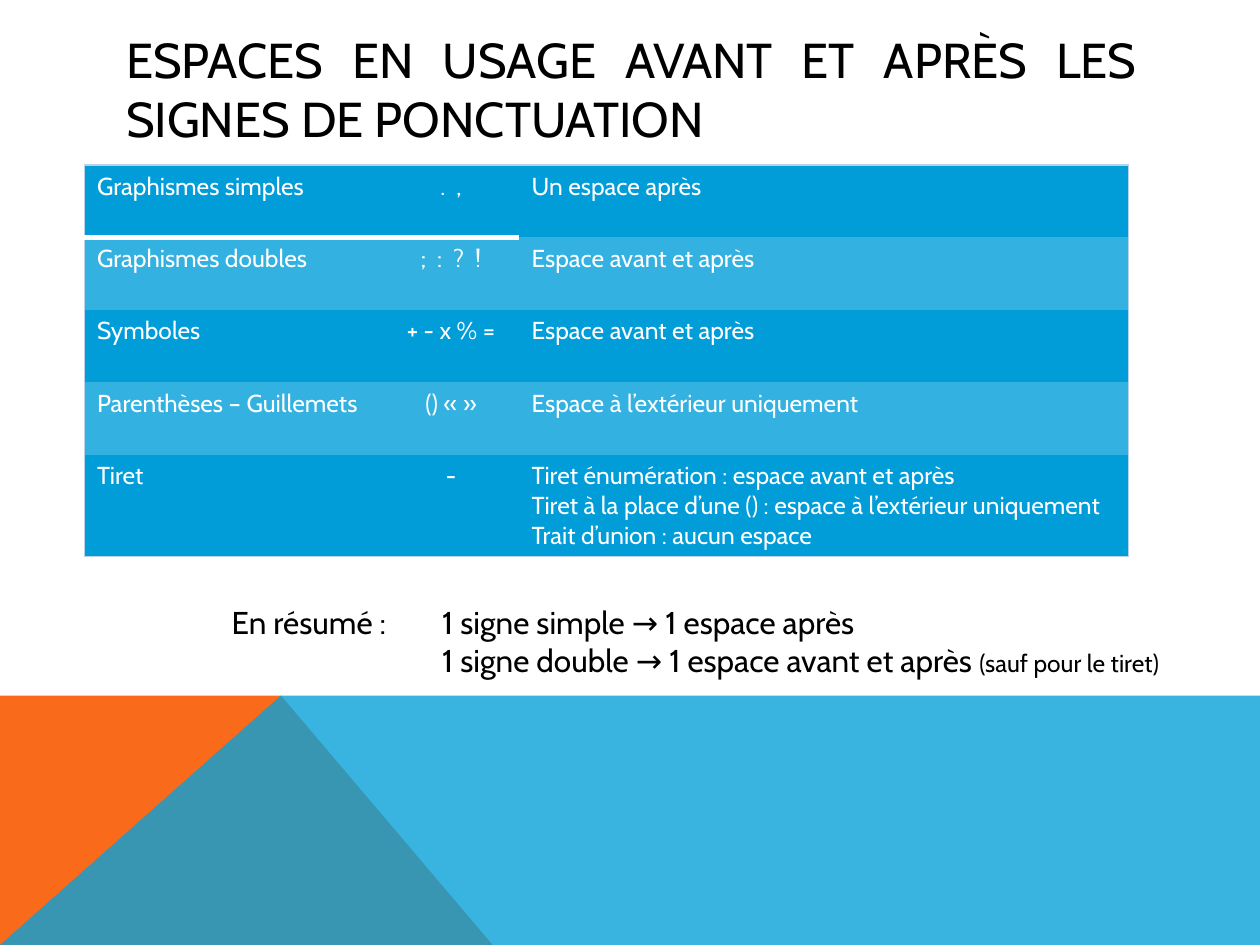
from dataclasses import dataclass

import pptx
import pptx.dml.color
import pptx.enum.text
import pptx.oxml
import pptx.oxml.ns
import pptx.util
from pptx.util import Inches

RGB = pptx.dml.color.RGBColor.from_string
ALIGN = pptx.enum.text.PP_ALIGN
ANCHOR = pptx.enum.text.MSO_ANCHOR
qn = pptx.oxml.ns.qn
NS = pptx.oxml.ns.nsdecls("a")


@dataclass(frozen=True)
class Theme:
    font: str = "Cabin"
    ink: str = "000000"
    paper: str = "FFFFFF"
    orange: str = "F96A1B"
    sky: str = "08A1D9"
    row: str = "009DD9"
    row_light: str = "33B1E1"
    outline: str = "B8D2E9"
    title: int = 28
    body: int = 18
    small: int = 14


THEME = Theme()
NO_TABLE_STYLE = "{2D5ABB26-0587-4C30-8999-92F81FD0307C}"

RULES = [
    ("Graphismes simples", ".  ,", ["Un espace après"]),
    ("Graphismes doubles", ";  :  ?  !", ["Espace avant et après"]),
    ("Symboles", "+ - x % =", ["Espace avant et après"]),
    ("Parenthèses – Guillemets", "() « »", ["Espace à l’extérieur uniquement"]),
    ("Tiret", "-", ["Tiret énumération : espace avant et après",
                    "Tiret à la place d’une () : espace à l’extérieur uniquement",
                    "Trait d’union : aucun espace"]),
]

SUMMARY = [
    [("En résumé : \t1 signe simple → 1 espace après", THEME.body)],
    [("\t1 signe double → 1 espace avant et après ", THEME.body),
     ("(sauf pour le tiret)", THEME.small)],
]


def write(frame, paragraphs, color, align=ALIGN.LEFT):
    """Fill a text frame; each paragraph is a list of (text, size) runs."""
    for index, runs in enumerate(paragraphs):
        paragraph = frame.paragraphs[0] if index == 0 else frame.add_paragraph()
        paragraph.alignment = align
        for text, size in runs:
            run = paragraph.add_run()
            run.text = text
            run.font.name = THEME.font
            run.font.size = pptx.util.Pt(size)
            run.font.bold = False
            run.font.color.rgb = RGB(color)


def add_polygon(slide, points, color, opacity=100):
    corners = [(Inches(x), Inches(y)) for x, y in points]
    builder = slide.shapes.build_freeform(*corners[0])
    builder.add_line_segments(corners[1:], close=True)
    polygon = builder.convert_to_shape()
    polygon.shadow.inherit = False
    polygon.fill.solid()
    polygon.fill.fore_color.rgb = RGB(color)
    polygon.line.fill.background()
    if opacity < 100:
        tint = polygon.fill._xPr.find(qn("a:solidFill"))[0]
        tint.append(pptx.oxml.parse_xml(f'<a:alpha {NS} val="{opacity * 1000}"/>'))


def add_border(cell, side, color, width):
    cell._tc.get_or_add_tcPr().append(pptx.oxml.parse_xml(
        f'<a:ln{side} {NS} w="{pptx.util.Pt(width)}"><a:solidFill>'
        f'<a:srgbClr val="{color}"/></a:solidFill></a:ln{side}>'))


def add_title(slide, text):
    title = slide.shapes.title
    title.left, title.top = Inches(0.9), Inches(0.4)
    title.width, title.height = Inches(8.22), Inches(0.6)
    frame = title.text_frame
    frame.word_wrap = True
    frame.auto_size = pptx.enum.text.MSO_AUTO_SIZE.NONE
    frame.vertical_anchor = ANCHOR.MIDDLE
    write(frame, [[(text, THEME.title)]], THEME.ink, ALIGN.JUSTIFY)


def add_rules_table(slide):
    widths = [Inches(2.37), Inches(1.08), Inches(4.84)]
    # Four equal rows, then a taller one for the three dash rules
    heights = [Inches(2.3) // 4] * 4 + [Inches(0.81)]
    table = slide.shapes.add_table(len(heights), len(widths), Inches(0.67), Inches(1.31),
                                   sum(widths), sum(heights)).table
    table.first_row = table.horz_banding = False
    table._tbl.tblPr.find(qn("a:tableStyleId")).text = NO_TABLE_STYLE
    for column, width in zip(table.columns, widths):
        column.width = width
    last_row, last_column = len(heights) - 1, len(widths) - 1

    for r, (category, signs, usage) in enumerate(RULES):
        table.rows[r].height = heights[r]
        for c, lines in enumerate(([category], [signs], usage)):
            cell = table.cell(r, c)
            write(cell.text_frame, [[(line, THEME.small)] for line in lines],
                  THEME.paper, ALIGN.CENTER if c == 1 else ALIGN.LEFT)
            # Thin outline around the table
            for side, on_edge in (("L", c == 0), ("R", c == last_column),
                                  ("T", r == 0), ("B", r == last_row)):
                if on_edge:
                    add_border(cell, side, THEME.outline, 0.75)
            # White rule under the first two heading cells
            if r == 0 and c < last_column:
                add_border(cell, "B", THEME.paper, 3)
            cell.fill.solid()
            cell.fill.fore_color.rgb = RGB(THEME.row_light if r % 2 else THEME.row)


def add_summary(slide):
    summary = slide.shapes.add_textbox(Inches(1.74), Inches(4.74), Inches(7.98), Inches(0.71))
    frame = summary.text_frame
    frame.word_wrap = True
    write(frame, SUMMARY, THEME.ink)
    for paragraph in frame.paragraphs:
        paragraph._p.get_or_add_pPr().append(pptx.oxml.parse_xml(
            f'<a:tabLst {NS}><a:tab pos="{Inches(1.67)}" algn="l"/></a:tabLst>'))


def main():
    deck = pptx.Presentation()
    deck.slide_width, deck.slide_height = Inches(10), Inches(7.5)
    slide = deck.slides.add_slide(deck.slide_layouts[5])

    # Coloured base: orange triangle under a translucent blue band
    peak, bottom = (2.23, 5.52), 7.5
    add_polygon(slide, [(0, bottom), (0, 5.52), peak, (3.91, bottom)], THEME.orange)
    add_polygon(slide, [(0, bottom), peak, (10, 5.52), (10, bottom)], THEME.sky, opacity=80)

    # Content
    add_title(slide, "ESPACES EN USAGE AVANT ET APRÈS LES SIGNES DE PONCTUATION")
    add_rules_table(slide)
    add_summary(slide)
    deck.save("out.pptx")


if __name__ == "__main__":
    main()
